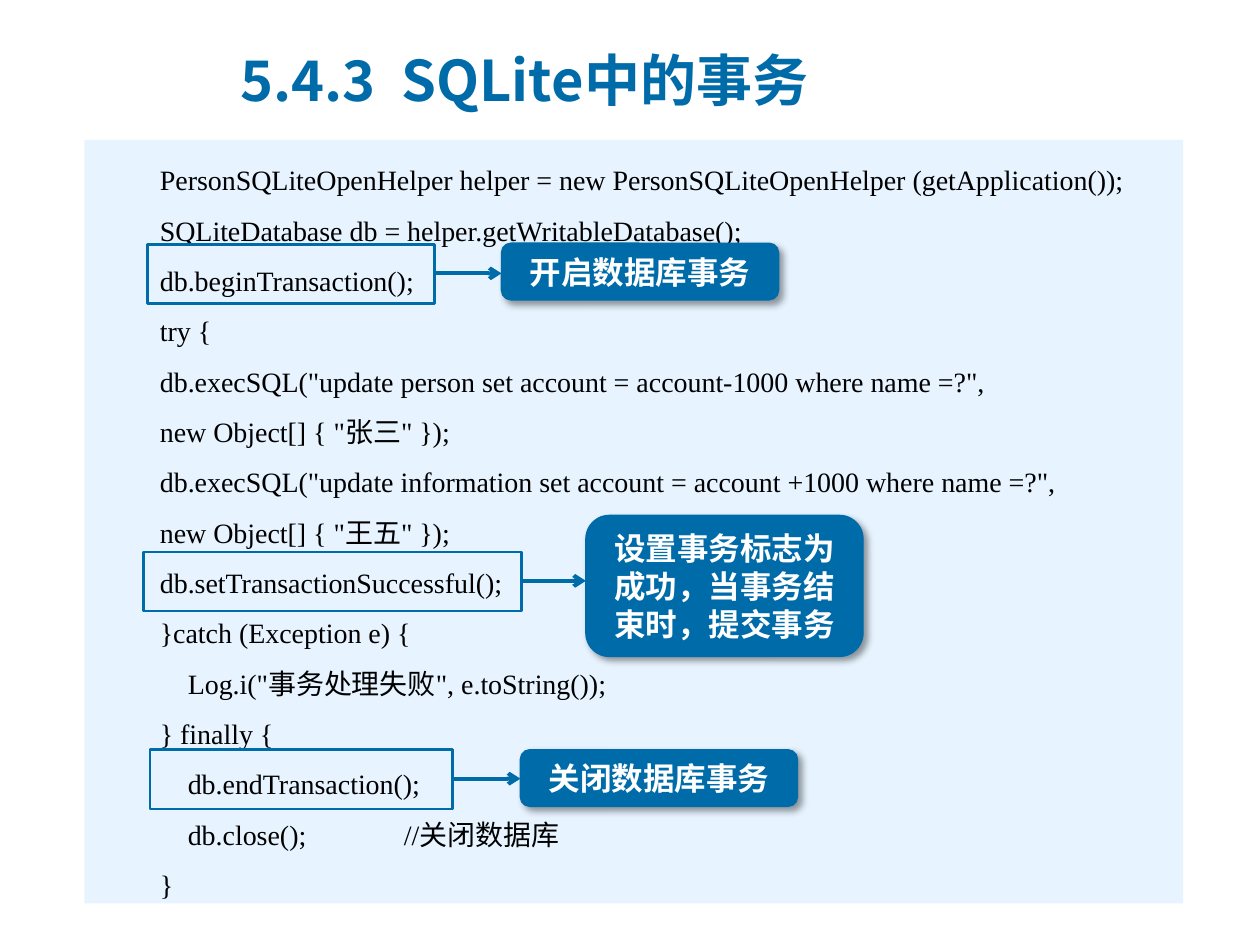
import pptx
import pptx.util
import pptx.dml.color
import pptx.enum.shapes
import pptx.enum.text
import pptx.oxml
import pptx.oxml.ns
from lxml import etree

Inches = pptx.util.Inches
Pt = pptx.util.Pt
SHAPES = pptx.enum.shapes.MSO_SHAPE
ALIGN = pptx.enum.text.PP_ALIGN
ANCHOR = pptx.enum.text.MSO_ANCHOR
qn = pptx.oxml.ns.qn

BLUE = pptx.dml.color.RGBColor(0x00, 0x6B, 0xA9)
PALE = pptx.dml.color.RGBColor(0xE7, 0xF4, 0xFF)
WHITE = pptx.dml.color.RGBColor(0xFF, 0xFF, 0xFF)
BLACK = pptx.dml.color.RGBColor(0x00, 0x00, 0x00)

CODE_FORMAT = {"size": Pt(16), "bold": False, "name": "Times New Roman"}
CALLOUT_FORMAT = {"size": Pt(18), "bold": True, "name": "Arial"}
TITLE_FORMAT = {"size": Pt(32), "bold": True, "name": "Noto Sans CJK SC"}

CODE = """PersonSQLiteOpenHelper helper = new PersonSQLiteOpenHelper (getApplication());
SQLiteDatabase db = helper.getWritableDatabase();
db.beginTransaction();
try {
db.execSQL("update person set account = account-1000 where name =?",
new Object[] { "张三" });
db.execSQL("update information set account = account +1000 where name =?",
new Object[] { "王五" });
db.setTransactionSuccessful();
}catch (Exception e) {
    Log.i("事务处理失败", e.toString());
} finally {
    db.endTransaction();
    db.close();              //关闭数据库
}"""

SHADOW = (
    '<a:effectLst xmlns:a="http://schemas.openxmlformats.org/drawingml/2006/main">'
    '<a:outerShdw blurRad="50800" dist="38100" dir="2700000" algn="tl" rotWithShape="0">'
    '<a:srgbClr val="000000"><a:alpha val="40000"/></a:srgbClr>'
    '</a:outerShdw></a:effectLst>'
)


def add_text(para, text, formats, color):
    span = para.add_run()
    span.text = text
    for key, value in formats.items():
        setattr(span.font, key, value)
    span.font.color.rgb = color
    east_asian = etree.SubElement(span.font._element, qn("a:ea"))
    east_asian.set("typeface", "Noto Sans CJK SC")


def add_box(kind, left, top, width, height, fill, line_width):
    box = page.shapes.add_shape(kind, Inches(left), Inches(top), Inches(width), Inches(height))
    box.shadow.inherit = False
    if fill is None:
        box.fill.background()
    else:
        box.fill.solid()
        box.fill.fore_color.rgb = fill
    if line_width:
        box.line.color.rgb = BLUE
        box.line.width = Pt(line_width)
    else:
        box.line.fill.background()
    return box


deck = pptx.Presentation()
deck.slide_width = Inches(10)
deck.slide_height = Inches(7.5)
page = deck.slides.add_slide(deck.slide_layouts[6])

panel = add_box(SHAPES.RECTANGLE, 0.67, 1.11, 8.72, 6.06, PALE, 0)
panel.text_frame.word_wrap = True
panel.text_frame.vertical_anchor = ANCHOR.TOP
for index, line in enumerate(CODE.split("\n")):
    para = panel.text_frame.add_paragraph() if index else panel.text_frame.paragraphs[0]
    para.level = 1
    para.alignment = ALIGN.LEFT
    para.line_spacing = 1.5
    properties = para._p.get_or_add_pPr()
    properties.set("marL", str(Inches(0.5)))
    properties.set("indent", "0")
    add_text(para, line, CODE_FORMAT, BLACK)

STEPS = [
    ("开启数据库事务", 1.17, 1.94, 2.28, 3.98, 1.93, 0.45),
    ("关闭数据库事务", 1.19, 5.95, 2.4, 4.13, 5.95, 0.45),
    ("设置事务标志为成功，当事务结束时，提交事务", 1.14, 4.38, 3, 4.65, 4.09, 1.12),
]
for label, left, top, width, callout_left, callout_top, callout_height in STEPS:
    add_box(SHAPES.RECTANGLE, left, top, width, 0.47, None, 1.5)

    callout = add_box(SHAPES.ROUNDED_RECTANGLE, callout_left, callout_top, 2.2,
                      callout_height, BLUE, 0.75)
    properties = callout._element.spPr
    properties.replace(properties.find(qn("a:effectLst")), pptx.oxml.parse_xml(SHADOW))
    callout.text_frame.word_wrap = True
    callout.text_frame.vertical_anchor = ANCHOR.MIDDLE
    para = callout.text_frame.paragraphs[0]
    para.alignment = ALIGN.CENTER
    add_text(para, label, CALLOUT_FORMAT, WHITE)

    middle = Inches(top + 0.23)
    arrow = page.shapes.add_connector(pptx.enum.shapes.MSO_CONNECTOR.STRAIGHT,
                                      Inches(left + width), middle,
                                      Inches(callout_left), middle)
    arrow.line.color.rgb = BLUE
    arrow.line.width = Pt(2.25)
    etree.SubElement(arrow.line._get_or_add_ln(), qn("a:tailEnd")).set("type", "arrow")
    etree.SubElement(arrow._element.spPr, qn("a:effectLst"))

title = page.shapes.add_textbox(Inches(1.81), Inches(0.21), Inches(5.63), Inches(0.84))
title.text_frame.word_wrap = True
title.text_frame.vertical_anchor = ANCHOR.MIDDLE
para = title.text_frame.paragraphs[0]
properties = para._p.get_or_add_pPr()
properties.set("marL", str(Inches(0.62)))
properties.set("indent", str(Inches(-0.62)))
add_text(para, "5.4.3  SQLite中的事务", TITLE_FORMAT, BLUE)

deck.save("out.pptx")
